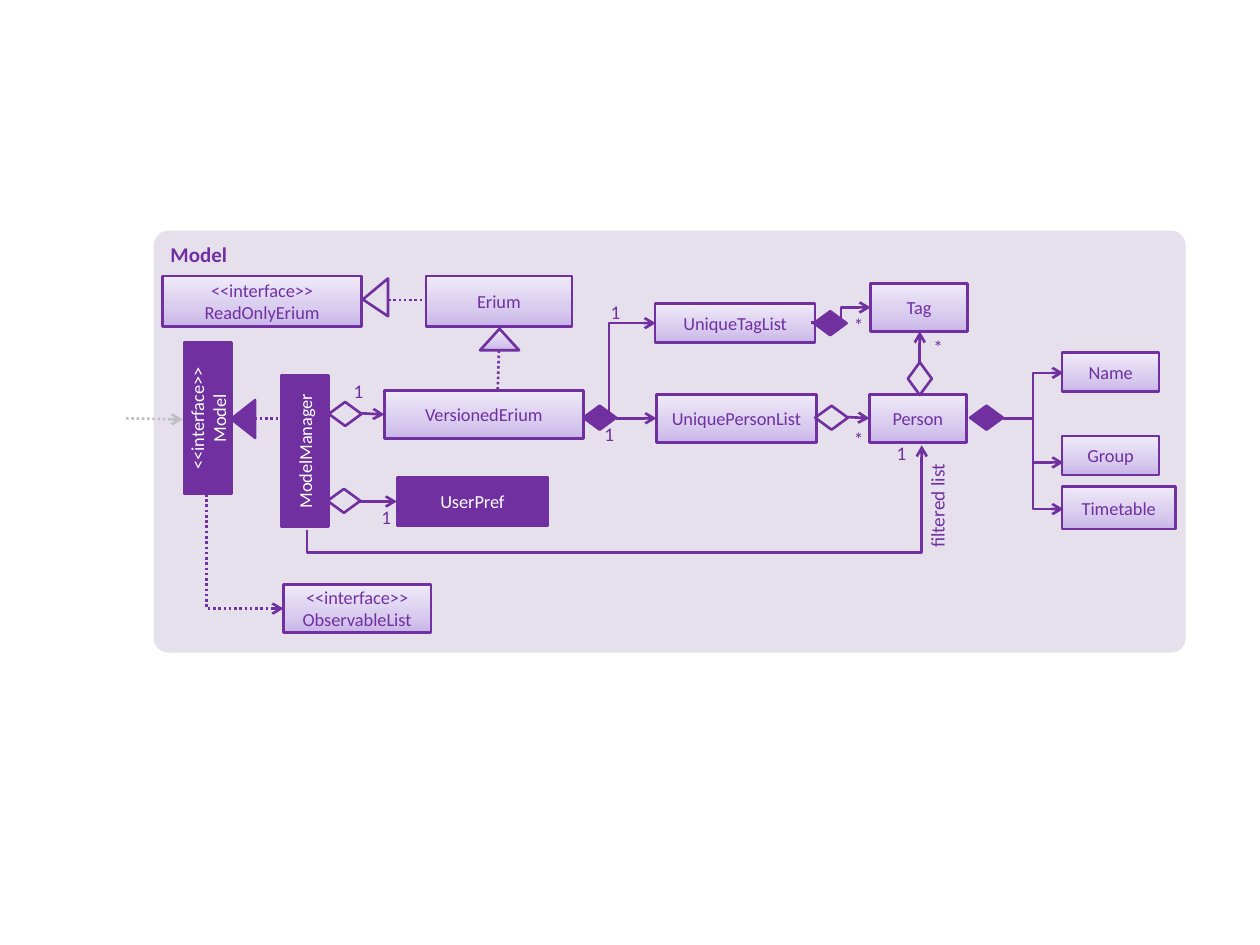
from copy import deepcopy
from lxml.etree import SubElement
from pptx import Presentation
from pptx.dml.color import RGBColor
from pptx.enum.dml import MSO_LINE
from pptx.enum.shapes import MSO_CONNECTOR as Conn, MSO_SHAPE as Kind
from pptx.enum.text import MSO_ANCHOR as Anchor, PP_ALIGN as Align
from pptx.oxml.ns import qn
from pptx.util import Inches, Pt

INK = {"main": "7030A0", "panel": "E6E0EC", "white": "FFFFFF", "gray": "BFBFBF",
       "low": "C9B5E8", "mid": "D8CBEE", "high": "F0EAF9"}
FADE = [(0, "low"), (0.35, "mid"), (1, "high")]
FONT = "Calibri"

# Class boxes: paragraphs, left, top, width, height
LIGHT = [
    (["VersionedErium"], 3.05, 3.1, 1.58, 0.38),
    (["UniquePersonList"], 5.21, 3.13, 1.27, 0.38),
    (["Person"], 6.9, 3.13, 0.77, 0.38),
    (["Name"], 8.43, 2.8, 0.77, 0.31),
    (["Group"], 8.43, 3.46, 0.77, 0.31),
    (["Timetable"], 8.43, 3.86, 0.9, 0.34),
    (["<<interface>>\nObservableList"], 2.25, 4.64, 1.17, 0.38),
    (["UniqueTagList"], 5.2, 2.41, 1.27, 0.31),
    (["Tag"], 6.91, 2.25, 0.77, 0.38),
    (["<<interface>>\nReadOnlyErium"], 1.29, 2.19, 1.58, 0.4),
    (["Erium"], 3.38, 2.19, 1.16, 0.4),
]
# Dark boxes: paragraphs, left, top, rotation
DARK = [
    (["UserPref"], 3.15, 3.79, 0),
    (["ModelManager"], 1.82, 3.39, 270),
    (["<<interface>>", "Model"], 1.05, 3.13, 270),
]
# Diamonds: left, top, fill, rotation
GEMS = [
    (2.6, 3.88, None, 0), (2.61, 3.19, None, 0), (6.47, 3.22, None, 0),
    (7.17, 2.91, None, 270), (4.63, 3.22, "main", 0),
    (7.7, 3.22, "main", 0), (6.46, 2.47, "main", 0),
]
# Triangles: left, top, width, height, fill, rotation, tip
TIPS = [
    (1.78, 3.23, 0.3, 0.19, "main", 270, 0.5),
    (3.81, 2.61, 0.31, 0.17, "fade", 0, 0.5),
    (2.83, 2.26, 0.3, 0.2, "panel", 270, 0.445),
]
# Straight lines: x1, y1, x2, y2, colour, dotted, arrow
LINES = [
    (2.85, 3.98, 3.15, 3.98, "main", False, True),
    (1, 3.32, 1.45, 3.33, "gray", True, True),
    (2.02, 3.32, 2.26, 3.32, "main", True, False),
    (2.87, 3.28, 3.05, 3.29, "main", False, True),
    (4.89, 3.32, 5.21, 3.32, "main", False, True),
    (6.73, 3.31, 6.9, 3.32, "main", False, True),
    (7.3, 2.88, 7.3, 2.63, "main", False, True),
    (3.96, 2.78, 3.95, 3.1, "main", True, False),
    (3.08, 2.38, 3.38, 2.38, "main", True, False),
]
# Elbows: left, top, width, height, rotation, flips, bends, first bend, dotted
ELBOWS = [
    (4.54, 1.43, 0.67, 4.88, 90, "HV", 2, -0.267, False),
    (7.96, 2.96, 0.48, 0.36, 0, "V", 2, 0.5, False),
    (7.96, 3.32, 0.48, 0.35, 0, "", 2, 0.5, False),
    (7.96, 3.32, 0.48, 0.72, 0, "", 2, 0.5, False),
    (1.49, 4.07, 0.91, 0.61, 270, "H", 1, None, True),
    (4.63, 2.77, 0.78, 0.37, 90, "HV", 1, None, False),
    (6.44, 2.44, 0.47, 0.12, 0, "V", 2, 0.5, False),
]
# Multiplicities: text, left, top
COUNTS = [
    ("1", 4.73, 3.35), ("*", 6.71, 3.39), ("1", 2.74, 3.01), ("1", 2.96, 4.01),
    ("1", 7.05, 3.5), ("*", 7.34, 2.66), ("*", 6.71, 2.49), ("1", 4.78, 2.38),
]

deck = Presentation()
deck.slide_width, deck.slide_height = Inches(10), Inches(7.5)
slide = deck.slides.add_slide(deck.slide_layouts[6])


def rgb(name):
    return RGBColor.from_string(INK[name])


def spot(*nums):
    return [Inches(n) for n in nums]


def write(shape, paras, size, ink="main", align=Align.CENTER, anchor=Anchor.MIDDLE, bold=False):
    frame = shape.text_frame
    frame.word_wrap, frame.vertical_anchor = True, anchor
    for i, text in enumerate(paras):
        para = frame.add_paragraph() if i else frame.paragraphs[0]
        para.alignment = align
        for j, part in enumerate(text.split("\n")):
            if j:
                para.add_line_break()
            run = para.add_run()
            run.text = part
            font = run.font
            font.name, font.size, font.bold = FONT, Pt(size), bold
            font.color.rgb = rgb(ink)


def paint(shape, fill):
    if fill is None:
        shape.fill.background()
    elif fill == "fade":
        shape.fill.gradient()
        shape.fill.gradient_angle = 90
        stops = shape._element.spPr.find(".//" + qn("a:gsLst"))
        stops.append(deepcopy(stops[0]))
        for stop, (pos, name) in zip(shape.fill.gradient_stops, FADE):
            stop.position, stop.color.rgb = pos, rgb(name)
    else:
        shape.fill.solid()
        shape.fill.fore_color.rgb = rgb(fill)


def draw(kind, box, fill, turn=0, edge=True):
    shape = slide.shapes.add_shape(kind, *spot(*box))
    shape.shadow.inherit = False
    shape.rotation = turn
    paint(shape, fill)
    if edge:
        shape.line.color.rgb, shape.line.width = rgb("main"), Pt(1.5)
    else:
        shape.line.fill.background()
    return shape


def wire(kind, ends, ink="main", dots=False, arrow=True):
    link = slide.shapes.add_connector(kind, *spot(*ends))
    link.line.color.rgb, link.line.width = rgb(ink), Pt(1.5)
    if dots:
        link.line.dash_style = MSO_LINE.ROUND_DOT
    prop = link._element.spPr
    if arrow:
        SubElement(prop.find(qn("a:ln")), qn("a:tailEnd"), type="arrow")
    SubElement(prop, qn("a:effectLst"))
    return prop


def elbow(x, y, w, h, turn, flips, bends, first, dots):
    prop = wire(Conn.ELBOW, (x, y, x + w, y + h), dots=dots)
    frame = prop.find(qn("a:xfrm"))
    frame.set("rot", str(turn * 60000))
    for flip in flips:
        frame.set("flip" + flip, "1")
    geom = prop.find(qn("a:prstGeom"))
    geom.set("prst", f"bentConnector{bends + 1}")
    if first is not None:
        SubElement(geom.find(qn("a:avLst")), qn("a:gd"), name="adj1",
                   fmla=f"val {round(first * 100000)}")


def label(text, box, align=Align.CENTER, turn=0, pad=None):
    shape = slide.shapes.add_textbox(*spot(*box))
    shape.rotation = turn
    frame = shape.text_frame
    if pad is not None:
        frame.margin_left = frame.margin_right = Inches(pad)
        frame.margin_top = frame.margin_bottom = Inches(pad)
    write(shape, [text], 11, align=align, anchor=Anchor.TOP)


# Panel
panel = draw(Kind.ROUNDED_RECTANGLE, (1.22, 1.83, 8.19, 3.35), "panel", edge=False)
panel.adjustments[0] = 0.035
write(panel, ["Model"], 12, align=Align.LEFT, anchor=Anchor.TOP, bold=True)

# Class boxes
for paras, x, y, turn in DARK:
    write(draw(Kind.RECTANGLE, (x, y, 1.2, 0.38), "main", turn), paras, 10.5, "white")
for paras, *box in LIGHT:
    write(draw(Kind.RECTANGLE, box, "fade"), paras, 10.5)

# Relations
for *ends, ink, dots, arrow in LINES:
    wire(Conn.STRAIGHT, ends, ink, dots, arrow)
for row in ELBOWS:
    elbow(*row)

# Diamonds and triangles
for x, y, fill, turn in GEMS:
    draw(Kind.FLOWCHART_DECISION, (x, y, 0.26, 0.19), fill, turn)
for *box, fill, turn, tip in TIPS:
    draw(Kind.ISOSCELES_TRIANGLE, box, fill, turn).adjustments[0] = tip

# Labels
for text, x, y in COUNTS:
    label(text, (x, y, 0.21, 0.2), pad=0)
label("filtered list", (6.96, 3.92, 0.96, 0.29), Align.RIGHT, 270)

deck.save("out.pptx")
